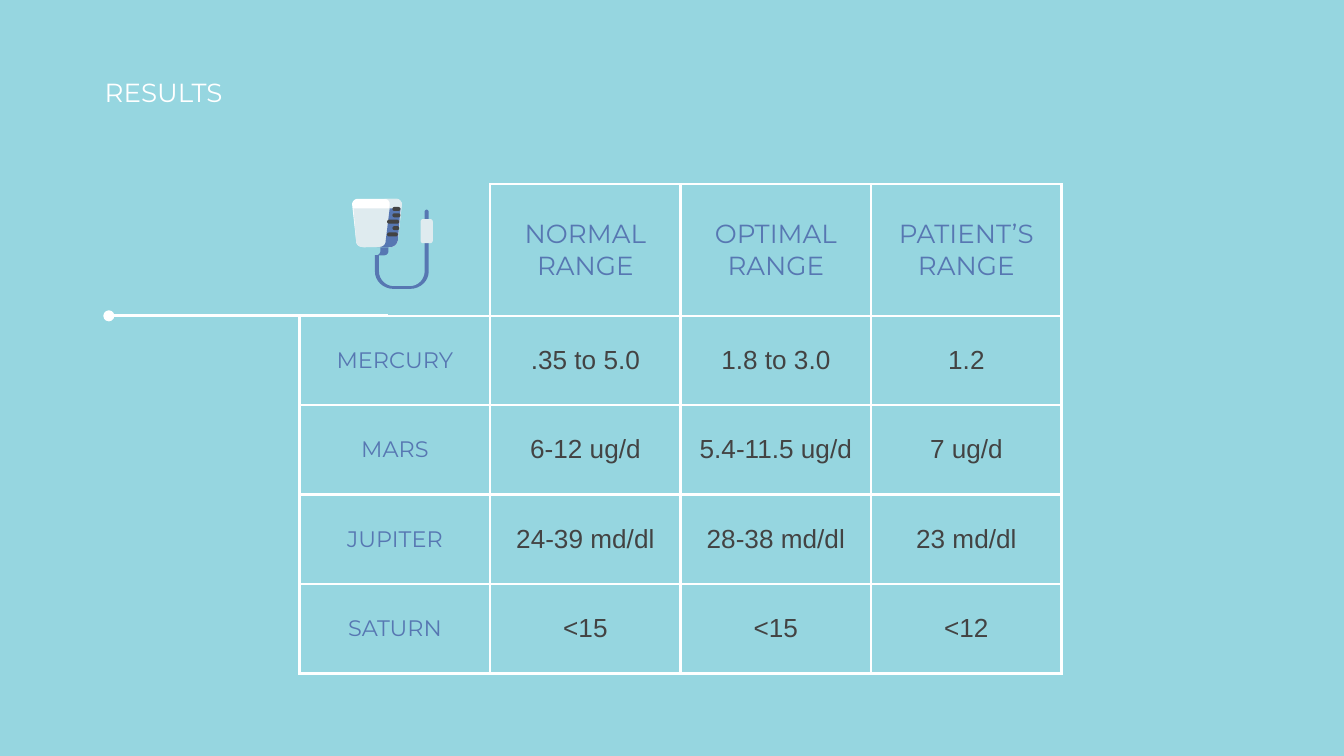
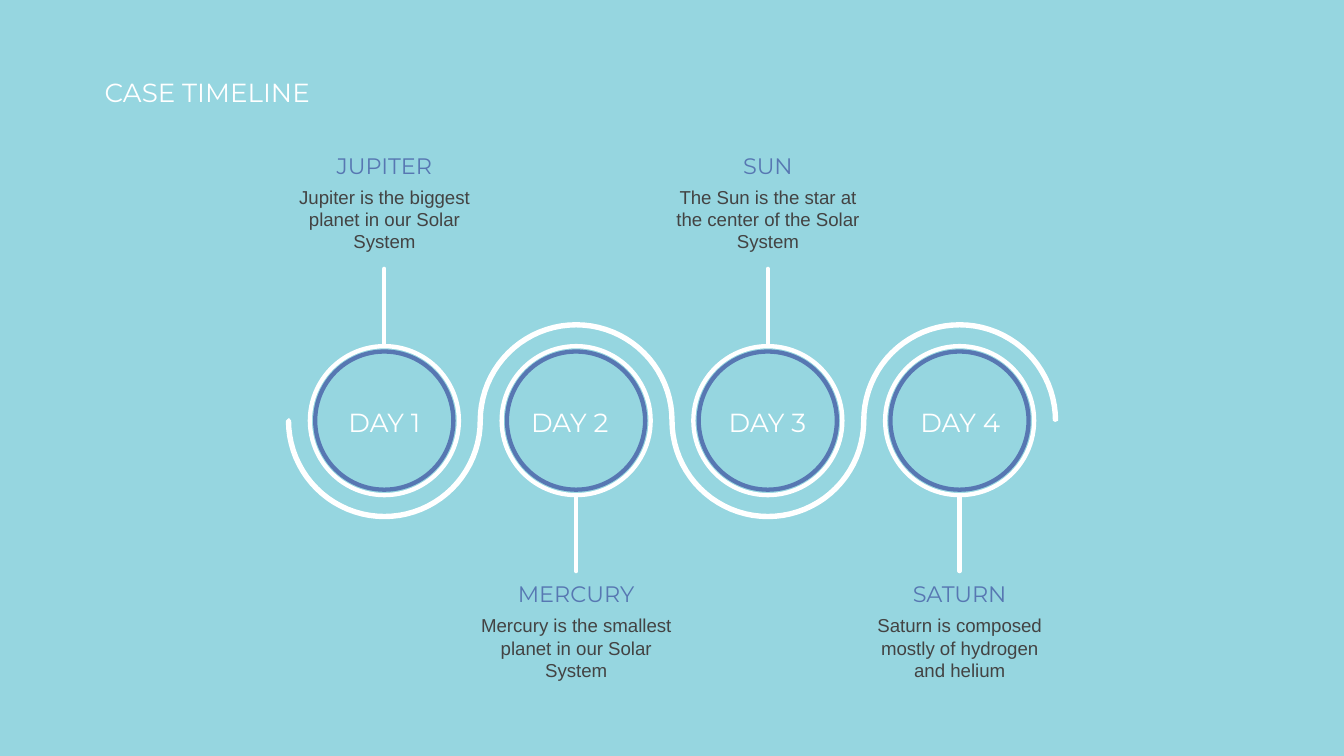
"""Build a results table and a case timeline on two matching slides."""
from math import cos, pi, sin

from lxml import etree
from pptx import Presentation
from pptx.dml.color import RGBColor
from pptx.enum.shapes import MSO_CONNECTOR, MSO_SHAPE
from pptx.enum.text import MSO_ANCHOR, PP_ALIGN
from pptx.oxml.ns import qn
from pptx.util import Inches, Pt

LEFT, CENTER = PP_ALIGN.LEFT, PP_ALIGN.CENTER
MIDDLE = MSO_ANCHOR.MIDDLE
STRAIGHT = MSO_CONNECTOR.STRAIGHT
DONUT, ROUNDED = MSO_SHAPE.DONUT, MSO_SHAPE.ROUNDED_RECTANGLE

COLORS = {
    "sky": "96D6E0",
    "white": "FFFFFF",
    "blue": "5777B2",
    "dark": "434343",
    "pale": "DFEBEF",
}
STYLES = {
    "title": ("Montserrat", 14, "white"),
    "column": ("Montserrat", 14, "blue"),
    "label": ("Montserrat", 12, "blue"),
    "value": ("Arial", 14, "dark"),
    "body": ("Arial", 10, "dark"),
}
BORDERS = ("lnL", "lnR", "lnT", "lnB")


def rgb(name):
    """Return the named colour."""
    return RGBColor.from_string(COLORS[name])


def bezier(start, curve, steps=8):
    """Return points along a cubic curve given by two controls and an end."""
    first, second, end = curve[:2], curve[2:4], curve[4:]
    points = []
    for step in range(1, steps + 1):
        t = step / steps
        weights = ((1 - t) ** 3, 3 * t * (1 - t) ** 2, 3 * t * t * (1 - t), t ** 3)
        points.append(tuple(
            sum(w * p[axis] for w, p in zip(weights, (start, first, second, end)))
            for axis in (0, 1)))
    return points


class Painter:
    """Hold the shared style and draw elements on the current slide."""

    def __init__(self):
        """Start an empty widescreen deck."""
        self.deck = Presentation()
        self.deck.slide_width = Inches(10)
        self.deck.slide_height = Inches(5.625)

    def new_page(self, title):
        """Add a slide with the shared background and title."""
        self.page = self.deck.slides.add_slide(self.deck.slide_layouts[6])
        self.page.background.fill.solid()
        self.page.background.fill.fore_color.rgb = rgb("sky")
        self.text(title, 0.68, 0.47, 4.32, 0.64, "title", LEFT)

    def set_text(self, frame, text, style, align):
        """Put one styled paragraph into a text frame."""
        para = frame.paragraphs[0]
        para.text = text
        para.alignment = align
        name, size, color = STYLES[style]
        para.font.name = name
        para.font.size = Pt(size)
        para.font.color.rgb = rgb(color)

    def text(self, text, left, top, width, height, style, align=CENTER,
             side=0.1, head=0.1):
        """Add a wrapped text box."""
        box = self.page.shapes.add_textbox(
            Inches(left), Inches(top), Inches(width), Inches(height))
        frame = box.text_frame
        frame.word_wrap = True
        frame.margin_left = frame.margin_right = Inches(side)
        frame.margin_top = frame.margin_bottom = Inches(head)
        self.set_text(frame, text, style, align)

    def paint(self, shape, color, outline=0):
        """Fill a shape and give it an outline of the same colour or none."""
        shape.shadow.inherit = False
        shape.fill.solid()
        shape.fill.fore_color.rgb = rgb(color)
        if outline:
            shape.line.color.rgb = rgb(color)
            shape.line.width = Pt(outline)
        else:
            shape.line.fill.background()

    def preset(self, kind, left, top, width, height, color, adjust, outline=0,
               shapes=None):
        """Add a preset shape with one adjustment."""
        shape = (shapes or self.page.shapes).add_shape(
            kind, Inches(left), Inches(top), Inches(width), Inches(height))
        shape.adjustments[0] = adjust
        self.paint(shape, color, outline)

    def outline(self, nodes, color, shapes=None):
        """Add a closed shape; pairs are corners and sextuples are curves."""
        points = []
        for node in nodes:
            points += [node] if len(node) == 2 else bezier(points[-1], node)
        points = [(Inches(x), Inches(y)) for x, y in points]
        if shapes is None:
            shapes = self.page.shapes
        builder = shapes.build_freeform(*points[0], scale=1.0)
        builder.add_line_segments(points[1:], close=True)
        self.paint(builder.convert_to_shape(), color)

    def line(self, x1, y1, x2, y2, width, tail=None, cap="flat"):
        """Add a white straight line."""
        line = self.page.shapes.add_connector(
            STRAIGHT, Inches(x1), Inches(y1), Inches(x2), Inches(y2))
        line.line.color.rgb = rgb("white")
        line.line.width = Pt(width)
        properties = line._element.spPr
        stroke = properties.find(qn("a:ln"))
        stroke.set("cap", cap)
        if tail:
            etree.SubElement(stroke, qn("a:tailEnd"), type=tail)
        etree.SubElement(properties, qn("a:effectLst"))

    def border(self, cell, visible):
        """Draw the visible sides of a cell in white and clear the rest."""
        properties = cell._tc.get_or_add_tcPr()
        for index, side in enumerate(BORDERS):
            stroke = etree.Element(qn("a:" + side), w=str(Pt(1.5)))
            if side in visible:
                fill = etree.SubElement(stroke, qn("a:solidFill"))
                etree.SubElement(fill, qn("a:srgbClr"), val=COLORS["white"])
            else:
                etree.SubElement(stroke, qn("a:noFill"))
            properties.insert(index, stroke)

    def table(self, rows, left, top, widths, heights):
        """Add a table with column heads, row labels and an open corner."""
        table = self.page.shapes.add_table(
            len(rows), len(widths), Inches(left), Inches(top),
            Inches(sum(widths)), Inches(sum(heights))).table
        table.first_row = table.horz_banding = False
        for column, width in zip(table.columns, widths):
            column.width = Inches(width)
        for row, height in zip(table.rows, heights):
            row.height = Inches(height)
        for i, row in enumerate(rows):
            for j, text in enumerate(row):
                cell = table.cell(i, j)
                cell.fill.background()
                cell.vertical_anchor = MIDDLE
                cell.margin_left = cell.margin_right = Inches(0.1)
                cell.margin_top = cell.margin_bottom = Inches(0.1)
                self.border(cell, BORDERS if i or j else ("lnR", "lnB"))
                style = "column" if i == 0 else "value" if j else "label"
                self.set_text(cell.text_frame, text, style, CENTER)


def draw_device(painter):
    """Draw the measuring cup with its cable and plug."""
    shapes = painter.page.shapes.add_group_shape().shapes
    base = [(2.89, 1.84), (2.92, 1.84, 2.95, 1.83, 2.96, 1.79)]
    rim = base + [(2.99, 1.52), (2.99, 1.5, 2.97, 1.48, 2.95, 1.48)]
    side = [(2.87, 1.79), (2.87, 1.83, 2.84, 1.84, 2.8, 1.84)]
    wall = [(2.65, 1.79), (2.65, 1.83, 2.68, 1.84, 2.72, 1.84)]
    spout = [(2.86, 1.9), (2.88, 1.9, 2.89, 1.88, 2.89, 1.87), (2.89, 1.84)]
    parts = [
        ([(2.66, 1.48), (2.64, 1.48, 2.62, 1.5, 2.62, 1.52)] + wall + rim, "white"),
        ([(2.86, 1.48), (2.89, 1.48, 2.9, 1.5, 2.9, 1.52)] + side + rim, "pale"),
        ([(2.63, 1.55)] + wall + base + [(2.98, 1.55)], "pale"),
        ([(2.9, 1.55)] + side + base + [(2.98, 1.55)], "blue"),
        ([(2.72, 1.84), (2.72, 1.87), (2.72, 1.88, 2.73, 1.9, 2.75, 1.9)] + spout,
         "sky"),
        ([(2.83, 1.84), (2.83, 1.87), (2.83, 1.88, 2.82, 1.9, 2.8, 1.9)] + spout,
         "blue"),
        ([(3.16, 1.81), (3.16, 2.02), (3.16, 2.08, 3.11, 2.13, 3.05, 2.13),
          (2.93, 2.13), (2.87, 2.13, 2.82, 2.08, 2.82, 2.02), (2.82, 1.9),
          (2.79, 1.9), (2.79, 2.02), (2.79, 2.09, 2.85, 2.15, 2.93, 2.15),
          (3.05, 2.15), (3.13, 2.15, 3.19, 2.09, 3.19, 2.02), (3.19, 1.81)],
         "blue"),
    ]
    for nodes, color in parts:
        painter.outline(nodes, color, shapes)
    painter.preset(ROUNDED, 3.16, 1.56, 0.03, 0.11, "blue", 0.5, shapes=shapes)
    painter.preset(ROUNDED, 3.13, 1.63, 0.09, 0.18, "pale", 0.2, shapes=shapes)
    marks = [(2.92, 2.98), (2.92, 2.98), (2.88, 2.97), (2.92, 2.97), (2.88, 2.96)]
    for index, (left, right) in enumerate(marks):
        painter.preset(ROUNDED, left, 1.54 + 0.19 / 4 * index, right - left, 0.03,
                       "dark", 0.5, shapes=shapes)


def results(painter):
    """Build the results slide."""
    painter.new_page("RESULTS")
    rows = [
        ("", "NORMAL RANGE", "OPTIMAL RANGE", "PATIENT’S RANGE"),
        ("MERCURY", ".35 to 5.0", "1.8 to 3.0", "1.2"),
        ("MARS", "6-12 ug/d", "5.4-11.5 ug/d", "7 ug/d"),
        ("JUPITER", "24-39 md/dl", "28-38 md/dl", "23 md/dl"),
        ("SATURN", "<15", "<15", "<12"),
    ]
    painter.table(rows, 2.23, 1.37, [5.67 / 4] * 4, [0.98] + [2.66 / 4] * 4)
    painter.line(2.89, 2.35, 0.81, 2.35, 1.5, tail="oval")
    draw_device(painter)


def wave_edge(centers, middle, radius, offset):
    """Return one edge of a wave of half circles, low arc first."""
    points = []
    for index, center in enumerate(centers):
        bend = 1 if index % 2 == 0 else -1
        reach = radius + bend * offset
        for step in range(41):
            angle = pi * step / 40
            points.append((center - reach * cos(angle),
                           middle + bend * reach * sin(angle)))
    return points


def timeline(painter):
    """Build the case timeline slide."""
    painter.new_page("CASE TIMELINE")
    middle, pitch = 3.13, 4.28 / 3
    centers = [2.86 + pitch * index for index in range(4)]
    outer = wave_edge(centers, middle, pitch / 2, 0.02)
    inner = wave_edge(centers, middle, pitch / 2, -0.02)
    start, end = (2.15, 3.11), (7.85, 3.14)
    painter.outline([start] + outer + [end] + inner[::-1], "white")

    days = [
        ("DAY 1", 2.35, 1.02, "JUPITER",
         "Jupiter is the biggest planet in our Solar System"),
        ("DAY 2", 3.73, 1.02, "MERCURY",
         "Mercury is the smallest planet in our Solar System"),
        ("DAY 3", 5.2, 1.02, "SUN",
         "The Sun is the star at the center of the Solar System"),
        ("DAY 4", 6.57, 1.15, "SATURN",
         "Saturn is composed mostly of hydrogen and helium"),
    ]
    for index, (day, left, width, name, fact) in enumerate(days):
        center = centers[index]
        stem, label = (3.69, 4.31) if index % 2 else (2, 1.12)
        painter.line(center, stem, center, stem + 0.56, 2.25, cap="rnd")
        for size, color, ring, edge in ((1.12, "white", 0.01, 1.5),
                                        (1.06, "blue", 0.03, 0)):
            painter.preset(DONUT, center - size / 2, middle - size / 2, size, size,
                           color, ring, edge)
        painter.text(day, left, 2.92, width, 0.65, "title")
        painter.text(name, center - 0.71, label, 1.42, 0.39, "label",
                     side=0, head=0.01)
        painter.text(fact, center - 0.71, label + 0.25, 1.42, 0.47, "body",
                     side=0, head=0.01)


def main():
    """Build both slides and save the deck."""
    painter = Painter()
    results(painter)
    timeline(painter)
    painter.deck.save("out.pptx")


if __name__ == "__main__":
    main()
